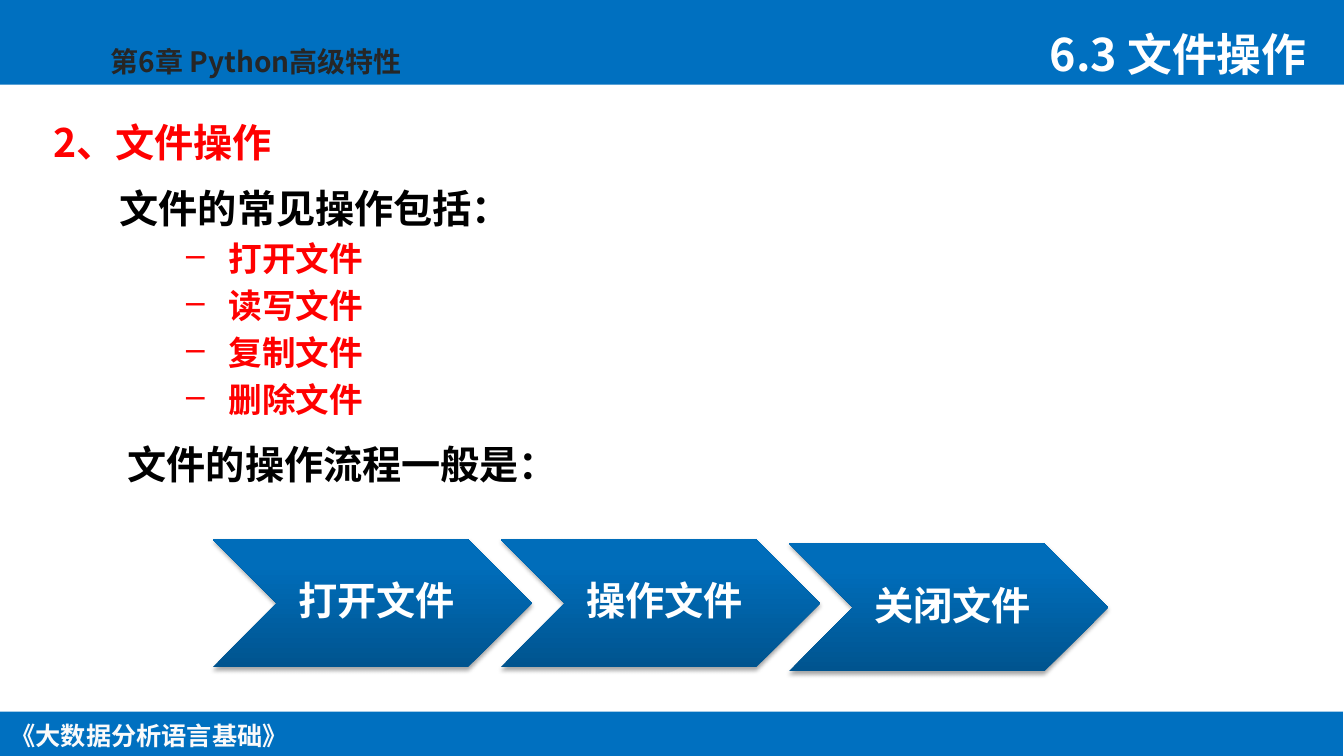
import copy
from dataclasses import dataclass

import lxml.etree
import pptx
import pptx.dml.color
import pptx.enum.shapes
import pptx.enum.text
import pptx.oxml.ns
import pptx.util

Inches, Pt = pptx.util.Inches, pptx.util.Pt
qn = pptx.oxml.ns.qn
Align = pptx.enum.text.PP_ALIGN
Anchor = pptx.enum.text.MSO_ANCHOR
Preset = pptx.enum.shapes.MSO_SHAPE


@dataclass(frozen=True)
class Theme:
    font: str = "Noto Sans CJK SC"
    bar: str = "0070C0"
    white: str = "FFFFFF"
    footer: str = "FAFAFA"
    chapter: str = "262626"
    body: str = "000000"
    accent: str = "FF0000"
    shadow: str = "000000"
    steps: tuple = ((0, "00548F"), (0.8, "006DBA"), (1, "006DBB"))
    title_size: int = 32
    body_size: int = 28
    item_size: int = 24
    chapter_size: int = 20
    footer_size: int = 18
    leading: float = 1.2
    item_gap: float = 4.8


THEME = Theme()

SLIDE_SIZE = (13.34, 7.5)
BARS = [(0, 0, 13.34, 0.84), (-0.01, 7.06, 13.34, 0.45)]

# text, place, size, colour, alignment
LINES = [
    ("《大数据分析语言基础》", (-0.01, 7.1, 2.98, 0.4), THEME.footer_size, THEME.footer, Align.CENTER),
    ("第6章 Python高级特性", (1, 0.39, 3.78, 0.44), THEME.chapter_size, THEME.chapter, Align.LEFT),
    ("6.3 文件操作", (10.32, 0.22, 3.02, 0.64), THEME.title_size, THEME.white, Align.LEFT),
    ("文件的操作流程一般是：", (1.17, 4.32, 7.56, 0.71), THEME.body_size, THEME.body, Align.LEFT),
]
HEADING = ("2、文件操作", (0.43, 1.01, 3.13, 0.85))
OPERATIONS_PLACE = (1.09, 1.78, 8.35, 2.59)
OPERATIONS_INTRO = "文件的常见操作包括："
OPERATIONS = ["打开文件", "读写文件", "复制文件", "删除文件"]
ITEM_INDENT, ITEM_HANG = 1.08, 0.42

# step name, top
STEPS = [("打开文件", 5.35), ("操作文件", 5.35), ("关闭文件", 5.39)]
STEP_LEFT, STEP_PITCH = 2.11, 2.86
STEP_WIDTH, STEP_HEIGHT = 3.17, 1.27


def rgb(value):
    return pptx.dml.color.RGBColor.from_string(value)


def inches(place):
    return [Inches(length) for length in place]


def add_child(parent, tag, **attributes):
    return lxml.etree.SubElement(parent, qn(tag), attributes)


def write(para, text, size, color, align=Align.LEFT, spacing=None):
    """Fill a paragraph; the default spacing is a fixed line height."""
    para.text = text
    para.alignment = align
    para.line_spacing = spacing or Pt(size * THEME.leading)
    font = para.font
    font.size, font.bold = Pt(size), True
    font.color.rgb = rgb(color)
    font.name = THEME.font
    defaults = para._p.pPr.find(qn("a:defRPr"))
    add_child(defaults, "a:ea", typeface=THEME.font)


def add_box(page, place):
    frame = page.shapes.add_textbox(*inches(place)).text_frame
    frame.word_wrap = True
    return frame


def add_bar(page, place):
    bar = page.shapes.add_shape(Preset.RECTANGLE, *inches(place))
    bar.shadow.inherit = False
    bar.fill.solid()
    bar.fill.fore_color.rgb = rgb(THEME.bar)
    bar.line.fill.background()


def add_operations(page):
    frame = add_box(page, OPERATIONS_PLACE)
    write(frame.paragraphs[0], OPERATIONS_INTRO, THEME.body_size, THEME.body)
    for operation in OPERATIONS:
        para = frame.add_paragraph()
        para.level = 1
        para.space_before = Pt(THEME.item_gap)
        properties = para._p.get_or_add_pPr()
        properties.set("marL", str(Inches(ITEM_INDENT)))
        properties.set("indent", str(-Inches(ITEM_HANG)))
        add_child(properties, "a:buChar", char="–")
        write(para, operation, THEME.item_size, THEME.accent)


def fill_step(chevron):
    chevron.fill.gradient()
    chevron.fill.gradient_angle = 90
    stop_list = chevron._element.spPr.find(".//" + qn("a:gsLst"))
    stop_list.append(copy.deepcopy(stop_list[-1]))
    for stop, (position, color) in zip(chevron.fill.gradient_stops, THEME.steps):
        stop.position = position
        stop.color.rgb = rgb(color)
    chevron.line.fill.background()


def cast_shadow(chevron):
    chevron.shadow.inherit = False
    effects = chevron._element.spPr.find(qn("a:effectLst"))
    shadow = add_child(effects, "a:outerShdw", blurRad=str(Pt(3.1)), dist=str(Pt(1.8)),
                       dir="5400000", rotWithShape="0")
    color = add_child(shadow, "a:srgbClr", val=THEME.shadow)
    add_child(color, "a:alpha", val="35000")


def add_step(page, index, name, top):
    place = (STEP_LEFT + index * STEP_PITCH, top, STEP_WIDTH, STEP_HEIGHT)
    chevron = page.shapes.add_shape(Preset.CHEVRON, *inches(place))
    fill_step(chevron)
    cast_shadow(chevron)
    frame = chevron.text_frame
    frame.word_wrap = True
    frame.vertical_anchor = Anchor.MIDDLE
    frame.margin_left = Inches(0.12)
    frame.margin_top = frame.margin_right = frame.margin_bottom = Inches(0.04)
    write(frame.paragraphs[0], name, THEME.body_size, THEME.white, Align.CENTER, 0.9)


def main():
    deck = pptx.Presentation()
    deck.slide_width, deck.slide_height = inches(SLIDE_SIZE)
    page = deck.slides.add_slide(deck.slide_layouts[6])

    for place in BARS:
        add_bar(page, place)
    for text, place, size, color, align in LINES:
        write(add_box(page, place).paragraphs[0], text, size, color, align)

    text, place = HEADING
    frame = add_box(page, place)
    frame.vertical_anchor = Anchor.MIDDLE
    write(frame.paragraphs[0], text, THEME.body_size, THEME.accent, spacing=0.9)

    add_operations(page)
    for index, (name, top) in enumerate(STEPS):
        add_step(page, index, name, top)
    deck.save("out.pptx")


if __name__ == "__main__":
    main()
